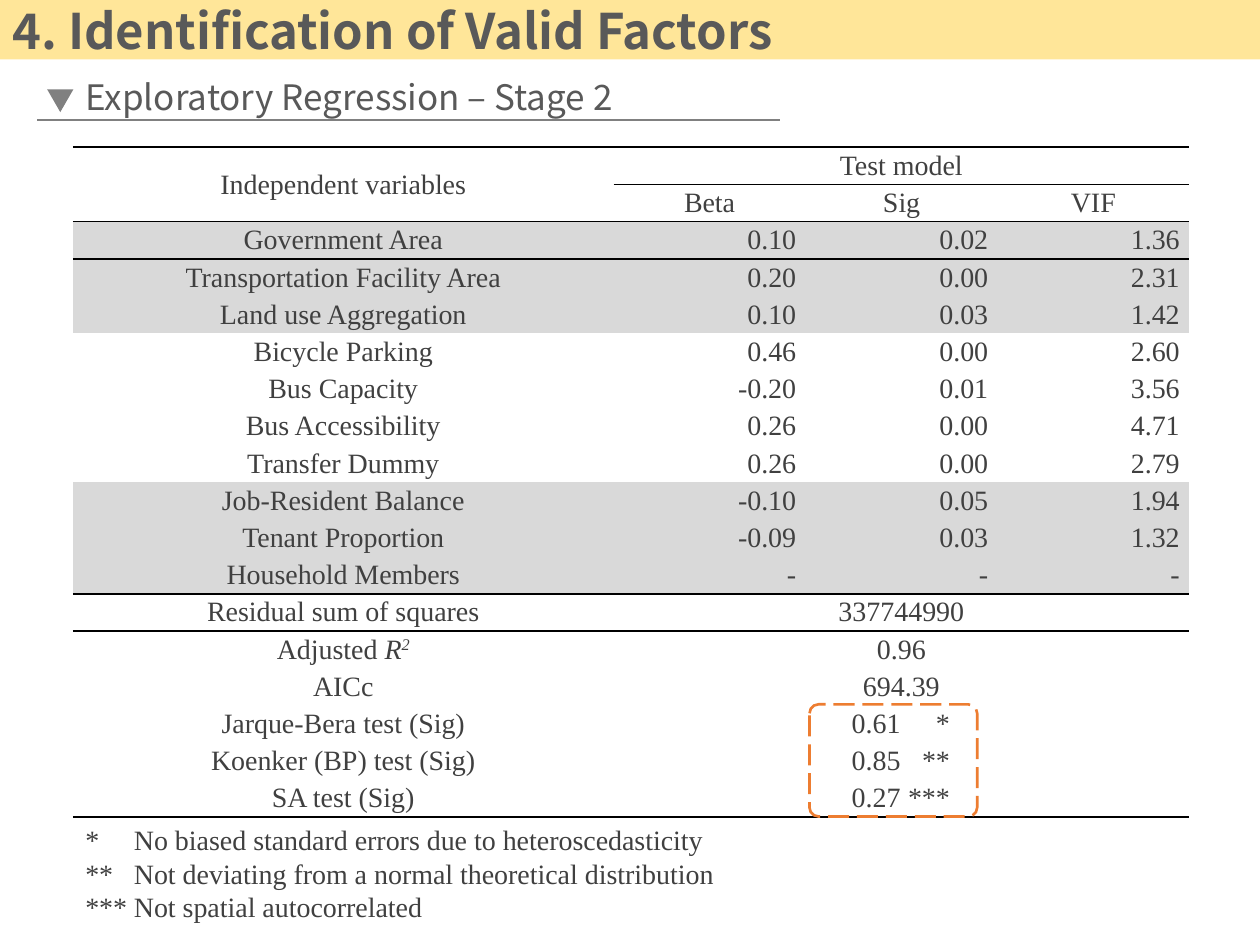
from dataclasses import dataclass

from lxml import etree
from pptx import Presentation, util as u
from pptx.dml.color import RGBColor
from pptx.enum import dml, shapes, text
from pptx.oxml.ns import qn

Cm, Pt = u.Cm, u.Pt
ALIGN = text.PP_ALIGN
NO_STYLE = "{2D5ABB26-0587-4C30-8999-92F81FD0307C}"


@dataclass(frozen=True)
class Theme:
    band: str = "FFE699"
    head: str = "595959"
    body: str = "404040"
    mark: str = "808080"
    shade: str = "D9D9D9"
    rule: str = "000000"
    focus: str = "ED7D31"
    sans: str = "Noto Sans CJK SC"
    serif: str = "Times New Roman"
    big: int = 28
    mid: int = 20
    small: int = 16


T = Theme()

FACTORS = [
    ("Government Area", "0.10", "0.02", "1.36"),
    ("Transportation Facility Area", "0.20", "0.00", "2.31"),
    ("Land use Aggregation", "0.10", "0.03", "1.42"),
    ("Bicycle Parking", "0.46", "0.00", "2.60"),
    ("Bus Capacity", "-0.20", "0.01", "3.56"),
    ("Bus Accessibility", "0.26", "0.00", "4.71"),
    ("Transfer Dummy", "0.26", "0.00", "2.79"),
    ("Job-Resident Balance", "-0.10", "0.05", "1.94"),
    ("Tenant Proportion", "-0.09", "0.03", "1.32"),
    ("Household Members", "-", "-", "-"),
]
SHADED = {0, 1, 2, 7, 8, 9}
TESTS = [
    ("Residual sum of squares", "337744990"),
    (["Adjusted ", ("R", 0), ("2", 30000)], "0.96"),
    ("AICc", "694.39"),
    ("Jarque-Bera test (Sig)", "0.61\t*"),
    ("Koenker (BP) test (Sig)", "0.85\t**"),
    ("SA test (Sig)", "0.27\t***"),
]
NOTES = [
    "*\tNo biased standard errors due to heteroscedasticity",
    "**\tNot deviating from a normal theoretical distribution",
    "***\tNot spatial autocorrelated",
]


def rgb(tone):
    return RGBColor.from_string(tone)


def put(frame, lines, size=T.small, tone=T.body, face=T.serif, bold=False,
        align=ALIGN.LEFT, tab=None, stop="l"):
    """Write paragraphs; a line is a string or a list of strings and (italic text, baseline)."""
    for n, line in enumerate(lines):
        para = frame.add_paragraph() if n else frame.paragraphs[0]
        para.alignment = align
        if tab:
            tabs = etree.SubElement(para._p.get_or_add_pPr(), qn("a:tabLst"))
            etree.SubElement(tabs, qn("a:tab"), pos=str(Cm(tab)), algn=stop)
        for part in [line] if isinstance(line, str) else line:
            run = para.add_run()
            font = run.font
            if isinstance(part, tuple):
                run.text, base = part
                font.italic = True
                if base:
                    font._element.set("baseline", str(base))
            else:
                run.text = part
            font.size, font.name, font.bold = Pt(size), face, bold
            font.color.rgb = rgb(tone)


def shape(home, kind, box, fill=None):
    item = home.add_shape(kind, *map(Cm, box))
    item.shadow.inherit = False
    item.line.fill.background()
    if fill:
        item.fill.solid()
        item.fill.fore_color.rgb = rgb(fill)
    else:
        item.fill.background()
    return item


def label(home, box, lines, anchor=text.MSO_ANCHOR.TOP, **style):
    frame = home.add_textbox(*map(Cm, box)).text_frame
    frame.word_wrap = True
    frame.vertical_anchor = anchor
    put(frame, lines, **style)


def line(home, x, y, end):
    item = home.add_connector(shapes.MSO_CONNECTOR.STRAIGHT, Cm(x), Cm(y), Cm(end), Cm(y))
    item.line.color.rgb = rgb(T.mark)
    item.line.width = Pt(1.5)
    etree.SubElement(item._element.spPr, qn("a:effectLst"))


def edge(cell, side, width):
    ln = etree.SubElement(cell._tc.get_or_add_tcPr(), qn("a:ln" + side), w=str(Pt(width)))
    fill = etree.SubElement(ln, qn("a:solidFill"))
    etree.SubElement(fill, qn("a:srgbClr"), val=T.rule)


def rule(grid, row, width, first=0):
    """Draw the line above the given row, from column first to the right."""
    last = len(grid.rows)
    for col in range(first, 4):
        if row:
            edge(grid.cell(row - 1, col), "B", width)
        if row < last:
            edge(grid.cell(row, col), "T", width)


def fill_cell(cell, words, align=ALIGN.CENTER, **style):
    put(cell.text_frame, [words], align=align, **style)


def add_grid(home):
    count = 2 + len(FACTORS) + len(TESTS)
    grid = home.add_table(count, 4, Cm(1.47), Cm(2.97), Cm(22.5), Cm(0.75 * count)).table
    grid._tbl.tblPr.find(qn("a:tableStyleId")).text = NO_STYLE
    grid.first_row = grid.horz_banding = False
    for col, wide in zip(grid.columns, (10.9, 3.87, 3.87, 3.86)):
        col.width = Cm(wide)

    tests = 2 + len(FACTORS)
    rule(grid, 0, 1.5)
    rule(grid, 1, 1, first=1)
    edge(grid.cell(0, 0), "B", 1)
    rule(grid, 2, 1)
    rule(grid, tests, 1)
    rule(grid, count, 1.5)

    for r, row in enumerate(grid.rows):
        row.height = Cm(0.75)
        for cell in row.cells:
            cell.margin_left = cell.margin_right = Cm(0.19)
            cell.margin_top = cell.margin_bottom = 0
            cell.vertical_anchor = text.MSO_ANCHOR.MIDDLE
            if r - 2 in SHADED:
                cell.fill.solid()
                cell.fill.fore_color.rgb = rgb(T.shade)
            else:
                cell.fill.background()

    grid.cell(0, 0).merge(grid.cell(1, 0))
    for r in [0, *range(tests, count)]:
        grid.cell(r, 1).merge(grid.cell(r, 3))

    fill_cell(grid.cell(0, 0), "Independent variables")
    fill_cell(grid.cell(0, 1), "Test model")
    for c, name in enumerate(("Beta", "Sig", "VIF"), 1):
        fill_cell(grid.cell(1, c), name)
    for r, (name, *values) in enumerate(FACTORS, 2):
        fill_cell(grid.cell(r, 0), name)
        for c, value in enumerate(values, 1):
            fill_cell(grid.cell(r, c), value, align=ALIGN.RIGHT)
    for r, (name, value) in enumerate(TESTS, tests):
        fill_cell(grid.cell(r, 0), name)
        cell = grid.cell(r, 1)
        if "\t" in value:
            cell.margin_left = Cm(4.8)
            fill_cell(cell, value, align=ALIGN.LEFT, tab=1.98, stop="r")
        else:
            fill_cell(cell, value)


def add_title(home):
    kind = shapes.MSO_SHAPE
    band = shape(home, kind.RECTANGLE, (0, 0, 25.4, 1.2), T.band)
    band.text_frame.vertical_anchor = text.MSO_ANCHOR.MIDDLE
    put(band.text_frame, ["4. Identification of Valid Factors"],
        size=T.big, tone=T.head, face=T.sans, bold=True)

    group = home.add_group_shape().shapes
    line(group, 0.75, 2.42, 15.72)
    shape(group, kind.ISOSCELES_TRIANGLE, (0.95, 1.8, 0.53, 0.46), T.mark).rotation = 180
    label(group, (1.47, 1.48, 14.07, 0.94), ["Exploratory Regression – Stage 2"],
          anchor=text.MSO_ANCHOR.MIDDLE, size=T.mid, tone=T.head, face=T.sans)


def add_focus(home):
    frame = shape(home, shapes.MSO_SHAPE.ROUNDED_RECTANGLE, (16.32, 14.2, 3.38, 2.26))
    frame.adjustments[0] = 0.08
    frame.line.color.rgb = rgb(T.focus)
    frame.line.width = Pt(1.5)
    frame.line.dash_style = dml.MSO_LINE.LONG_DASH


def main():
    deck = Presentation()
    deck.slide_width, deck.slide_height = Cm(25.4), Cm(19.05)
    home = deck.slides.add_slide(deck.slide_layouts[6]).shapes
    add_title(home)
    add_grid(home)
    add_focus(home)
    label(home, (1.47, 16.46, 16.74, 2.39), NOTES, tab=0.98)
    deck.save("out.pptx")


if __name__ == "__main__":
    main()
